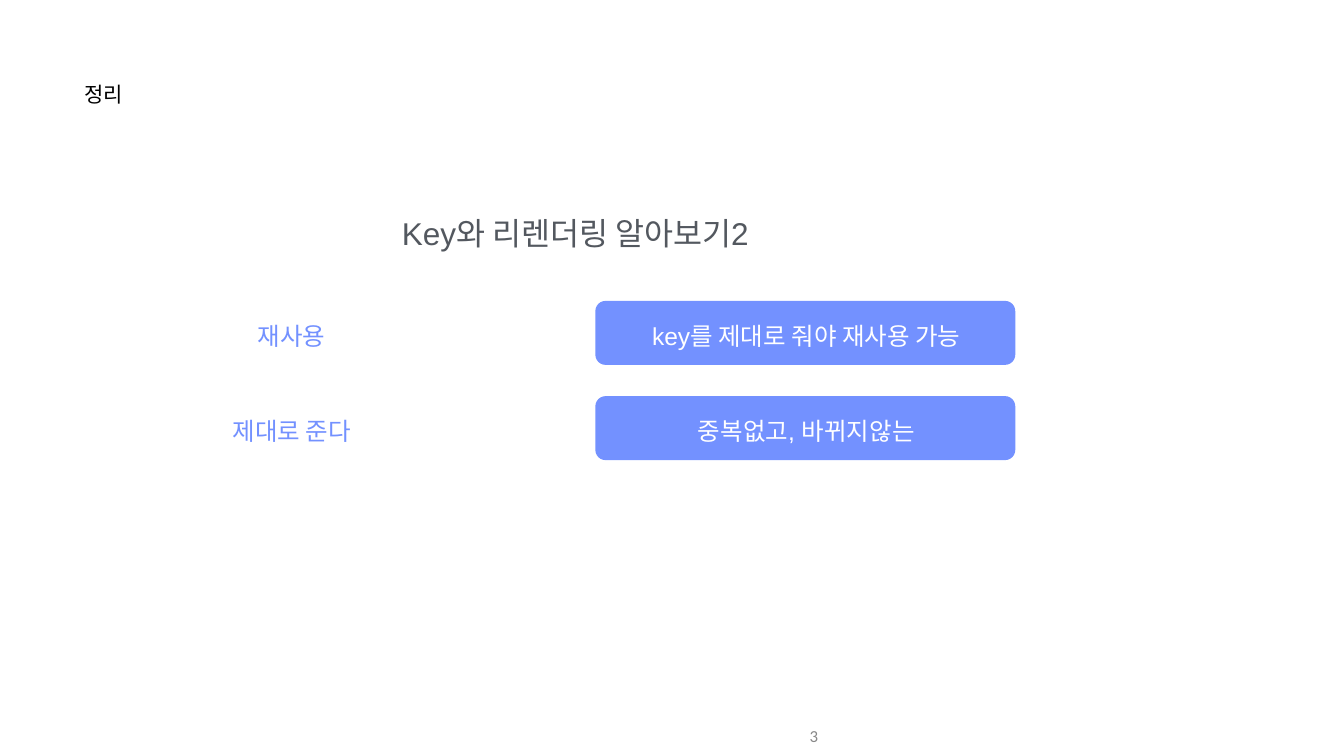
"""Build the summary slide on keys and re-rendering."""
from pptx import Presentation
from pptx.dml.color import RGBColor
from pptx.enum.shapes import MSO_SHAPE
from pptx.enum.text import MSO_ANCHOR, MSO_AUTO_SIZE, PP_ALIGN
from pptx.util import Pt

PX = 9144
BLUE, WHITE = "7391FF", "FFFFFF"


def color(value):
    return RGBColor.from_string(value)


def write(shape, text, size, fill, font="Arial", align=PP_ALIGN.CENTER,
          anchor=MSO_ANCHOR.MIDDLE, inset_x=1, inset_y=1):
    frame = shape.text_frame
    frame.auto_size = MSO_AUTO_SIZE.NONE
    frame.word_wrap = True
    frame.vertical_anchor = anchor
    frame.margin_left = frame.margin_right = inset_x * PX
    frame.margin_top = frame.margin_bottom = inset_y * PX
    paragraph = frame.paragraphs[0]
    paragraph.text = text
    paragraph.alignment = align
    paragraph.font.name = font
    paragraph.font.size = Pt(size)
    paragraph.font.color.rgb = color(fill)


presentation = Presentation()
presentation.slide_width = 2666 * PX
presentation.slide_height = 1500 * PX
slide = presentation.slides.add_slide(presentation.slide_layouts[5])
shapes = slide.shapes

title = shapes.title
title.left, title.top, title.width, title.height = 167 * PX, 160 * PX, 486 * PX, 118 * PX
write(title, "정리", 30, "000000", align=PP_ALIGN.LEFT, anchor=MSO_ANCHOR.TOP)

heading = shapes.add_textbox(264 * PX, 424 * PX, 1754 * PX, 79 * PX)
write(heading, "Key와 리렌더링 알아보기2", 45, "53585F", anchor=MSO_ANCHOR.TOP)

rows = [
    ("재사용", "key를 제대로 줘야 재사용 가능"),
    ("제대로 준다", "중복없고, 바뀌지않는"),
]
for index, (term, explanation) in enumerate(rows):
    top = 597 + 189 * index
    card = shapes.add_shape(MSO_SHAPE.ROUNDED_RECTANGLE,
                            1181 * PX, top * PX, 833 * PX, 127 * PX)
    card.adjustments[0] = 0.16
    card.shadow.inherit = False
    card.fill.solid()
    card.fill.fore_color.rgb = color(BLUE)
    card.line.fill.background()
    for left, width, text, fill in [(266, 625, term, BLUE), (1183, 833, explanation, WHITE)]:
        label = shapes.add_textbox(left * PX, (top + 38) * PX, width * PX, 62 * PX)
        write(label, text, 35, fill)

page_number = shapes.add_textbox(1033 * PX, 1421 * PX, 600 * PX, 79 * PX)
write(page_number, "3", 24, "888888", font="Calibri", align=PP_ALIGN.RIGHT,
      inset_x=10, inset_y=5)

presentation.save("out.pptx")
